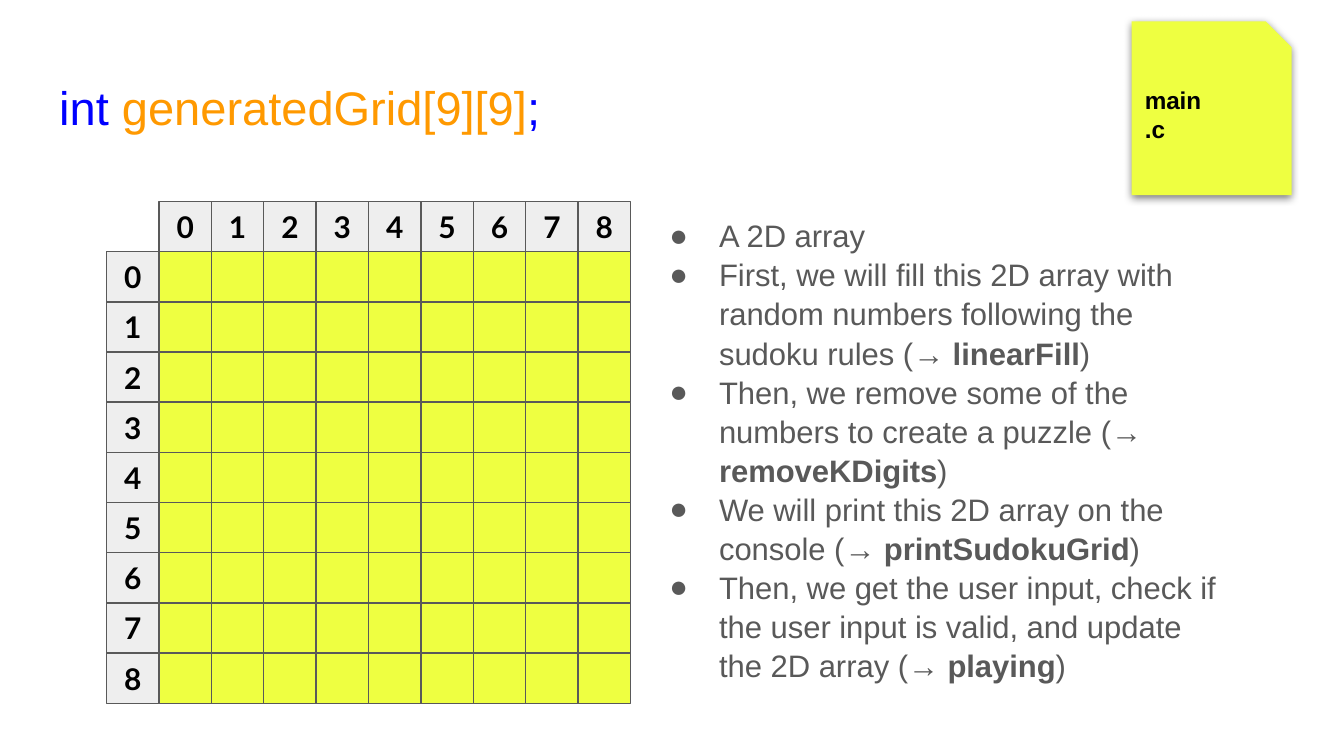
from lxml.etree import SubElement
from pptx import Presentation
from pptx.dml.color import RGBColor
from pptx.enum.shapes import MSO_SHAPE
from pptx.enum.text import MSO_ANCHOR, MSO_AUTO_SIZE, PP_ALIGN
from pptx.oxml.ns import qn
from pptx.util import Pt

BLUE = RGBColor(0x00, 0x00, 0xFF)
ORANGE = RGBColor(0xFF, 0x99, 0x00)
GRAY = RGBColor(0x59, 0x59, 0x59)
LIGHT = RGBColor(0xEE, 0xEE, 0xEE)
YELLOW = RGBColor(0xEE, 0xFF, 0x41)
BLACK = RGBColor(0x00, 0x00, 0x00)

SIZE = 9
LEFT, TOP = 57.1, 108
CELL_W, CELL_H = 28.07, 26.88

TITLE = {"name": "Arial", "size": Pt(25.2)}
BODY = {"name": "Arial", "size": Pt(16.6)}
NOTE = {"name": "Arial", "size": Pt(13), "bold": True}
INDEX = {"name": "Lato", "size": Pt(16), "bold": True}

STEPS = [
    ("A 2D array", "", ""),
    ("First, we will fill this 2D array with random numbers following the "
     "sudoku rules (→ ", "linearFill", ")"),
    ("Then, we remove some of the numbers to create a puzzle (→ ",
     "removeKDigits", ")"),
    ("We will print this 2D array on the console (→ ", "printSudokuGrid", ")"),
    ("Then, we get the user input, check if the user input is valid, and "
     "update the 2D array (→ ", "playing", ")"),
]


def add_run(p, text, fmt, color):
    """Add a run with the given font values and colour."""
    r = p.add_run()
    r.text = text
    for key, value in fmt.items():
        setattr(r.font, key, value)
    r.font.color.rgb = color


def set_frame(tf, anchor):
    """Set wrapping, anchor and equal insets of a text frame."""
    fmt = {"word_wrap": True, "auto_size": MSO_AUTO_SIZE.NONE,
           "vertical_anchor": anchor}
    fmt.update({f"margin_{side}": Pt(7.2)
                for side in ("left", "top", "right", "bottom")})
    for key, value in fmt.items():
        setattr(tf, key, value)


def place(sp, left, top, width, height):
    """Move and size a shape, in points."""
    sp.left, sp.top = Pt(left), Pt(top)
    sp.width, sp.height = Pt(width), Pt(height)


def add_bullet(p):
    """Give a paragraph a hanging round bullet."""
    pPr = p._p.get_or_add_pPr()
    pPr.set("marL", str(Pt(36)))
    pPr.set("indent", str(-Pt(26.6)))
    color = SubElement(pPr, qn("a:buClr"))
    SubElement(color, qn("a:srgbClr"), val=str(GRAY))
    SubElement(pPr, qn("a:buFont"), typeface="Arial")
    SubElement(pPr, qn("a:buChar"), char="●")


def add_title(s):
    """Write the array declaration in the title placeholder."""
    sp = s.shapes.title
    place(sp, 24.5, 35, 671, 45)
    set_frame(sp.text_frame, MSO_ANCHOR.TOP)
    p = sp.text_frame.paragraphs[0]
    p.alignment = PP_ALIGN.LEFT
    for text, color in (("int ", BLUE), ("generatedGrid[9][9]", ORANGE),
                        (";", BLUE)):
        add_run(p, text, TITLE, color)


def add_steps(s):
    """Write the bulleted steps in the body placeholder."""
    sp = s.placeholders[1]
    place(sp, 342, 108, 320.4, 268.8)
    tf = sp.text_frame
    set_frame(tf, MSO_ANCHOR.TOP)
    for i, (lead, function, tail) in enumerate(STEPS):
        p = tf.add_paragraph() if i else tf.paragraphs[0]
        add_bullet(p)
        p.line_spacing = 1.05
        p.space_before = p.space_after = Pt(0)
        for text, bold in ((lead, False), (function, True), (tail, False)):
            if text:
                add_run(p, text, {**BODY, "bold": bold}, GRAY)


def add_box(s, kind, box, fill):
    """Add a filled shape without line or shadow."""
    sp = s.shapes.add_shape(kind, *map(Pt, box))
    sp.shadow.inherit = False
    sp.fill.solid()
    sp.fill.fore_color.rgb = fill
    sp.line.fill.background()
    return sp


def add_note(s):
    """Add the file note with its soft shadow."""
    sp = add_box(s, MSO_SHAPE.SNIP_1_RECTANGLE, (606.2, 11.5, 85.7, 93), YELLOW)
    sp.adjustments[0] = 0.16
    shadow = SubElement(sp._element.spPr.find(qn("a:effectLst")),
                        qn("a:outerShdw"), blurRad=str(Pt(4.5)),
                        dist=str(Pt(1.5)), dir="5400000", algn="bl",
                        rotWithShape="0")
    color = SubElement(shadow, qn("a:srgbClr"), val=str(BLACK))
    SubElement(color, qn("a:alpha"), val="50000")
    tf = sp.text_frame
    set_frame(tf, MSO_ANCHOR.MIDDLE)
    for p, text in ((tf.paragraphs[0], "main"), (tf.add_paragraph(), ".c")):
        p.alignment = PP_ALIGN.LEFT
        add_run(p, text, NOTE, BLACK)


def add_cell(s, row, col, fill, label=""):
    """Add one outlined grid cell, with a label if given."""
    box = (LEFT + col * CELL_W, TOP + row * CELL_H, CELL_W, CELL_H)
    sp = add_box(s, MSO_SHAPE.RECTANGLE, box, fill)
    sp.line.color.rgb = GRAY
    sp.line.width = Pt(0.75)
    if label:
        set_frame(sp.text_frame, MSO_ANCHOR.MIDDLE)
        p = sp.text_frame.paragraphs[0]
        p.alignment = PP_ALIGN.CENTER
        add_run(p, label, INDEX, BLACK)


def add_grid(s):
    """Add the empty cells, then the column and row indexes."""
    for row in range(1, SIZE + 1):
        for col in range(1, SIZE + 1):
            add_cell(s, row, col, YELLOW)
    for i in range(SIZE):
        add_cell(s, 0, i + 1, LIGHT, str(i))
    for i in range(SIZE):
        add_cell(s, i + 1, 0, LIGHT, str(i))


def main():
    """Build and save the slide."""
    prs = Presentation()
    prs.slide_width, prs.slide_height = Pt(720), Pt(405)
    s = prs.slides.add_slide(prs.slide_layouts[1])
    add_title(s)
    add_steps(s)
    add_note(s)
    add_grid(s)
    prs.save("out.pptx")


if __name__ == "__main__":
    main()
